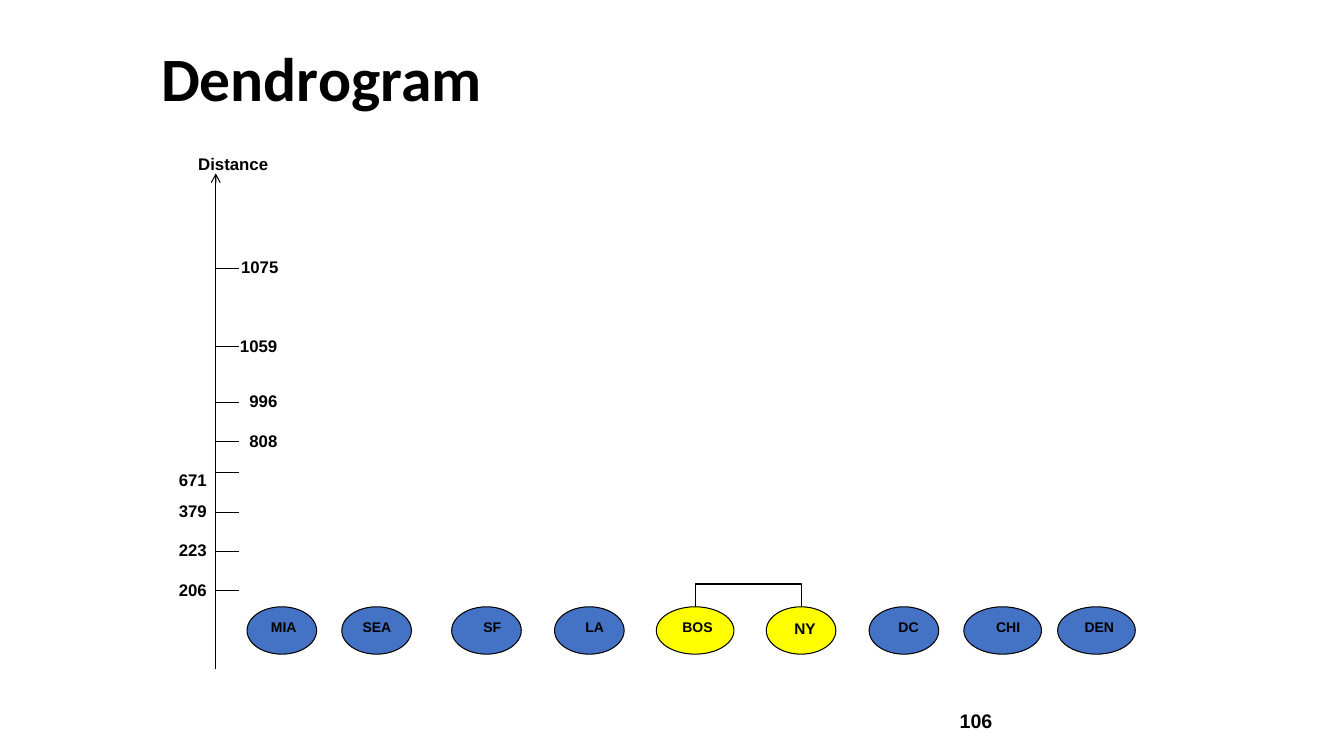
from dataclasses import dataclass

import pptx
import pptx.dml.color
import pptx.enum.shapes
import pptx.enum.text
import pptx.oxml
import pptx.oxml.ns
import pptx.util
from pptx.util import Inches

ALIGN = pptx.enum.text.PP_ALIGN
ANCHOR = pptx.enum.text.MSO_ANCHOR
CONNECTOR = pptx.enum.shapes.MSO_CONNECTOR
qn = pptx.oxml.ns.qn


@dataclass(frozen=True)
class Theme:
    ink: str = "000000"
    city: str = "4472C4"
    merged: str = "FFFF00"
    heading: str = "Calibri"
    body: str = "Arial"
    title_size: int = 44
    page_size: int = 14
    label_size: int = 12
    city_size: int = 10
    line_width: float = 0.75


@dataclass(frozen=True)
class Tick:
    label: str
    y: float
    label_right: float
    label_width: float = 0.48
    label_drop: float = -0.16


@dataclass(frozen=True)
class City:
    name: str
    left: float
    width: float = 0.69
    fill: str = Theme.city
    size: int = Theme.city_size


THEME = Theme()
AXIS_X, AXIS_TOP, AXIS_BOTTOM = 2.14, 1.72, 6.64
TICK_LENGTH = 0.23
CITY_TOP, CITY_HEIGHT = 6.02, 0.47
LABEL_HEIGHT = 0.3
BRACKET_RISE = 0.25
LEFT_SIDE, RIGHT_SIDE = 2.15, 2.85  # right edges of the label columns

TICKS = [
    Tick("206", 5.86, LEFT_SIDE),
    Tick("223", 5.47, LEFT_SIDE),
    Tick("379", 5.08, LEFT_SIDE),
    Tick("671", 4.69, LEFT_SIDE, label_drop=-0.08),
    Tick("808", 4.38, RIGHT_SIDE),
    Tick("996", 3.99, RIGHT_SIDE),
    Tick("1059", 3.44, RIGHT_SIDE, 0.57),
    Tick("1075", 2.66, RIGHT_SIDE + 0.01, 0.57),
]
CITIES = [
    City("MIA", 2.45),
    City("SEA", 3.39),
    City("SF", 4.48),
    City("LA", 5.5),
    City("BOS", 6.51, 0.77, THEME.merged),
    City("NY", 7.6, fill=THEME.merged, size=11),
    City("DC", 8.62),
    City("CHI", 9.56, 0.77),
    City("DEN", 10.49, 0.77),
]


def rgb(code: str) -> pptx.dml.color.RGBColor:
    return pptx.dml.color.RGBColor.from_string(code)


def write(tf, text: str, size: float, font: str = THEME.body, align=ALIGN.RIGHT) -> None:
    p = tf.paragraphs[0]
    p.text = text
    p.alignment = align
    p.font.name = font
    p.font.size = pptx.util.Pt(size)
    p.font.bold = True
    p.font.color.rgb = rgb(THEME.ink)


def add_text(slide, left: float, top: float, width: float, height: float):
    sp = slide.shapes.add_textbox(*map(Inches, (left, top, width, height)))
    sp.text_frame.word_wrap = True
    return sp.text_frame


def add_label(slide, text: str, left: float, top: float, width: float) -> None:
    tf = add_text(slide, left, top, width, LABEL_HEIGHT)
    tf.word_wrap = False
    tf.auto_size = pptx.enum.text.MSO_AUTO_SIZE.SHAPE_TO_FIT_TEXT
    write(tf, text, THEME.label_size)


def add_line(slide, x1: float, y1: float, x2: float, y2: float, kind=CONNECTOR.STRAIGHT):
    c = slide.shapes.add_connector(kind, *map(Inches, (x1, y1, x2, y2)))
    c.line.color.rgb = rgb(THEME.ink)
    c.line.width = pptx.util.Pt(THEME.line_width)
    pptx.oxml.ns  # namespace helpers are used below
    c.element.spPr.append(pptx.oxml.xmlchemy.OxmlElement("a:effectLst"))
    return c


def add_city(slide, city: City):
    sp = slide.shapes.add_shape(
        pptx.enum.shapes.MSO_SHAPE.OVAL,
        *map(Inches, (city.left, CITY_TOP, city.width, CITY_HEIGHT)))
    sp.shadow.inherit = False
    sp.fill.solid()
    sp.fill.fore_color.rgb = rgb(city.fill)
    sp.line.color.rgb = rgb(THEME.ink)
    sp.line.width = pptx.util.Pt(THEME.line_width)
    sp.text_frame.vertical_anchor = ANCHOR.TOP
    write(sp.text_frame, city.name, city.size)
    return sp


def add_bracket(slide, first, second) -> None:
    """Join the tops of two ellipses with a bracket, from right to left."""
    c = add_line(slide, 0, 0, 1, 1, CONNECTOR.ELBOW)
    c.begin_connect(first, 0)
    c.end_connect(second, 0)
    start = first.left + first.width // 2
    end = second.left + second.width // 2
    span, depth = start - end, 1588  # a thin box, turned upright
    c.width, c.height = depth, span
    c.left = (start + end - depth) // 2
    c.top = first.top - span // 2
    xfrm = c.element.spPr.find(qn("a:xfrm"))
    xfrm.attrib.pop("flipH", None)
    xfrm.set("rot", "16200000")
    xfrm.set("flipV", "1")
    geom = c.element.spPr.find(qn("a:prstGeom"))
    guide = pptx.oxml.xmlchemy.OxmlElement("a:gd")
    guide.set("name", "adj1")
    guide.set("fmla", f"val {round(Inches(BRACKET_RISE) / depth * 100000)}")
    geom.get_or_add_avLst().append(guide)


def main() -> None:
    prs = pptx.Presentation()
    prs.slide_width, prs.slide_height = Inches(13.33), Inches(7.5)
    slide = prs.slides.add_slide(prs.slide_layouts[6])

    # Title
    tf = add_text(slide, 1.5, 0.39, 10.5, 0.83)
    tf.vertical_anchor = ANCHOR.MIDDLE
    write(tf, "Dendrogram", THEME.title_size, THEME.heading, ALIGN.LEFT)
    tf.paragraphs[0].line_spacing = 0.9

    # Distance axis with its arrowhead
    axis = add_line(slide, AXIS_X, AXIS_BOTTOM, AXIS_X, AXIS_TOP)
    head = pptx.oxml.xmlchemy.OxmlElement("a:tailEnd")
    head.set("type", "arrow")
    axis.element.spPr.find(qn("a:ln")).append(head)
    add_label(slide, "Distance", 1.86, 1.48, 0.9)

    # Ticks and their distances
    for t in TICKS:
        add_line(slide, AXIS_X, t.y, AXIS_X + TICK_LENGTH, t.y)
        add_label(slide, t.label, t.label_right - t.label_width,
                  t.y + t.label_drop, t.label_width)

    # Cities and the first merged pair
    ovals = {city.name: add_city(slide, city) for city in CITIES}
    add_bracket(slide, ovals["NY"], ovals["BOS"])

    # Page number
    tf = add_text(slide, 9.42, 6.95, 3, 0.4)
    tf.vertical_anchor = ANCHOR.MIDDLE
    write(tf, "106", THEME.page_size, align=ALIGN.LEFT)

    prs.save("out.pptx")


if __name__ == "__main__":
    main()
